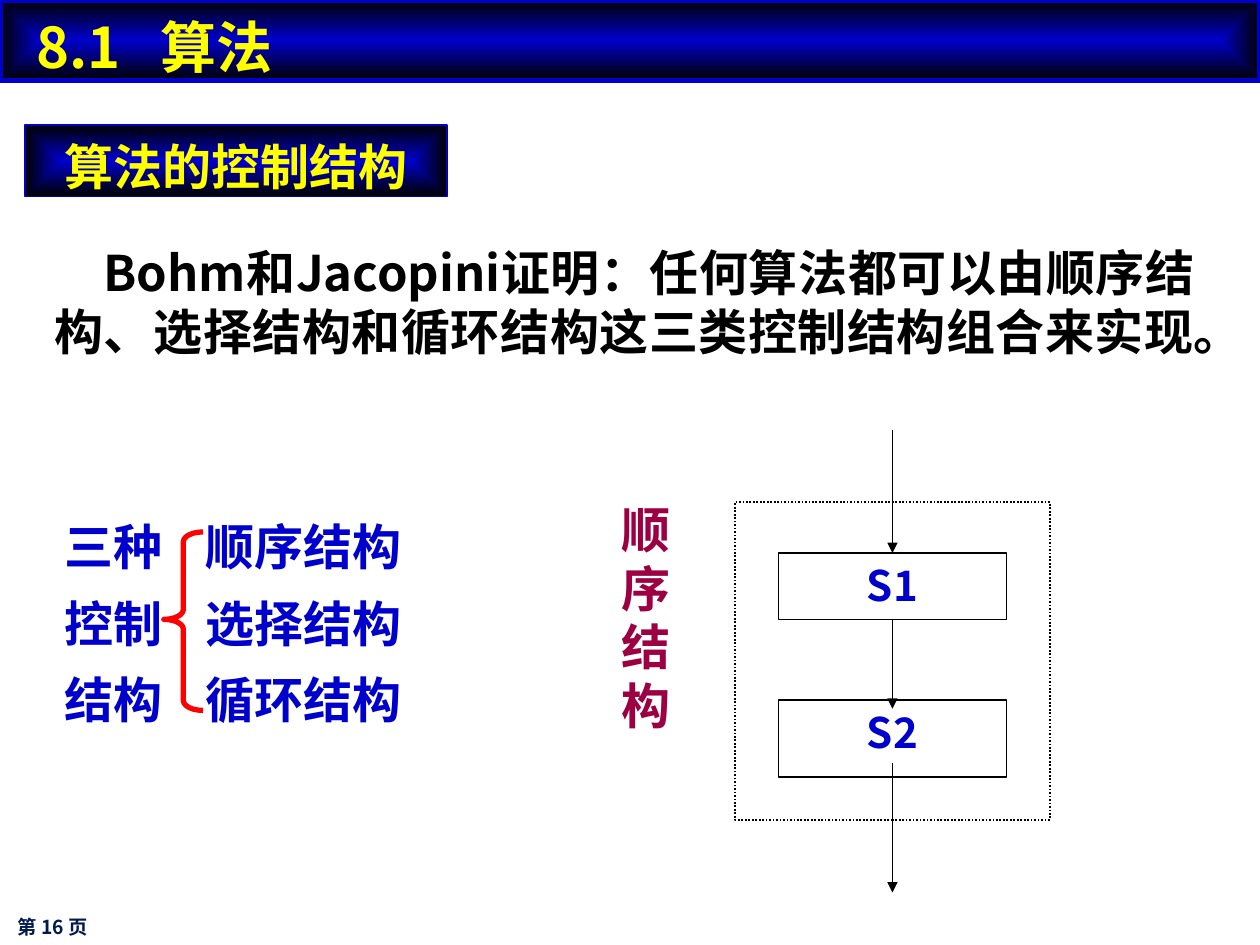
import pptx
import pptx.dml.color
import pptx.enum.dml
import pptx.enum.shapes
import pptx.enum.text
import pptx.oxml
import pptx.oxml.ns
import pptx.util
from lxml import etree

Pt = pptx.util.Pt
SHAPES = pptx.enum.shapes.MSO_SHAPE
ALIGN = pptx.enum.text.PP_ALIGN
SANS = "Noto Sans CJK SC"
TITLE_FONT = "Noto Sans CJK JP"
BLUE, YELLOW, BLACK, PLUM, NAVY, RED = "0000CC", "FFFF00", "000000", "9C0042", "001A4F", "FF0000"

TITLE = "8.1\t算法"
SECTION = "算法的控制结构"
STATEMENT = "Bohm和Jacopini证明：任何算法都可以由顺序结构、选择结构和循环结构这三类控制结构组合来实现。"
STRUCTURES = [("三种", "顺序结构"), ("控制", "选择结构"), ("结构", "循环结构")]
DIAGRAM_LABEL = "顺序结构"
STEPS = [("S1", 316, 38), ("S2", 400, 44)]  # label, top, height
PAGE = "第 16 页"

STEP_LEFT, STEP_WIDTH = 445, 130
FLOW_X = STEP_LEFT + STEP_WIDTH / 2
LINE_HEIGHT = 1.196  # line pitch, in ems
DROP = 0.12          # lowers the first baseline, in ems

prs = pptx.Presentation()
prs.slide_width, prs.slide_height = Pt(720), Pt(540)
slide = prs.slides.add_slide(prs.slide_layouts[6])


def rgb(value):
    return pptx.dml.color.RGBColor.from_string(value)


def write(shape, lines, size, color, font=SANS, align=ALIGN.LEFT, gap=0,
          inset=(7.2, 3.6), left=None, indent=0, tab=None,
          anchor=pptx.enum.text.MSO_ANCHOR.TOP):
    frame = shape.text_frame
    frame.word_wrap = True
    frame.vertical_anchor = anchor
    across, down = inset
    shift = DROP * size
    frame.margin_left = Pt(across if left is None else left)
    frame.margin_right = Pt(across)
    frame.margin_top = Pt(down + shift)
    frame.margin_bottom = Pt(max(0, down - shift))
    for number, line in enumerate(lines):
        paragraph = frame.add_paragraph() if number else frame.paragraphs[0]
        paragraph.alignment = align
        paragraph.line_spacing = Pt(round(LINE_HEIGHT * size, 1))
        if number:
            paragraph.space_before = Pt(gap)
        properties = paragraph._p.get_or_add_pPr()
        if indent:
            properties.set("indent", str(Pt(indent)))
        if tab:
            tabs = etree.SubElement(properties, pptx.oxml.ns.qn("a:tabLst"))
            etree.SubElement(tabs, pptx.oxml.ns.qn("a:tab"), pos=str(Pt(tab)), algn="l")
        run = paragraph.add_run()
        run.text = line
        run.font.size, run.font.bold, run.font.name = Pt(size), True, font
        run.font.color.rgb = rgb(color)
        east_asian = etree.SubElement(run._r.get_or_add_rPr(), pptx.oxml.ns.qn("a:ea"))
        east_asian.set("typeface", font)


def text_box(box, *args, **style):
    write(slide.shapes.add_textbox(*map(Pt, box)), *args, **style)


def outline(kind, box, color, width):
    shape = slide.shapes.add_shape(kind, *map(Pt, box))
    shape.shadow.inherit = False
    shape.fill.background()
    shape.line.color.rgb = rgb(color)
    shape.line.width = Pt(width)
    return shape


def banner(box, border):
    """Rectangle that glows blue at its centre and fades to black edges."""
    shape = outline(SHAPES.RECTANGLE, box, BLUE, border)
    shape.fill.gradient()
    for stop, color in zip(shape.fill.gradient_stops, (BLUE, BLACK)):
        stop.color.rgb = rgb(color)
    gradient = shape._element.spPr.find(pptx.oxml.ns.qn("a:gradFill"))
    linear = gradient.find(pptx.oxml.ns.qn("a:lin"))
    glow = etree.Element(pptx.oxml.ns.qn("a:path"), path="rect")
    etree.SubElement(glow, pptx.oxml.ns.qn("a:fillToRect"),
                     l="50000", t="50000", r="50000", b="50000")
    gradient.replace(linear, glow)
    return shape


def flow_arrow(top, bottom):
    arrow = slide.shapes.add_connector(
        pptx.enum.shapes.MSO_CONNECTOR.STRAIGHT, Pt(FLOW_X), Pt(top), Pt(FLOW_X), Pt(bottom))
    arrow.line.color.rgb = rgb(BLACK)
    arrow.line.width = Pt(0.75)
    etree.SubElement(arrow.line._get_or_add_ln(), pptx.oxml.ns.qn("a:tailEnd"), type="triangle")
    etree.SubElement(arrow._element.spPr, pptx.oxml.ns.qn("a:effectLst"))
    return arrow


text_box((3, 515, 192, 27), [PAGE], 11, NAVY, anchor=pptx.enum.text.MSO_ANCHOR.MIDDLE)
text_box((24, 132, 666, 108), [STATEMENT], 28, BLACK, align=ALIGN.JUSTIFY, indent=28)
write(banner((14.4, 71.3, 241, 41), 1), [SECTION], 28, YELLOW, align=ALIGN.CENTER)

text_box((30, 288, 341, 129), ["\t".join(pair) for pair in STRUCTURES], 28, BLUE,
         gap=10.5, tab=80.5)
brace = outline(SHAPES.LEFT_BRACE, (93.6, 304, 22.4, 102), RED, 3)
brace.adjustments[0], brace.adjustments[1] = 0.25, 0.49

steps = []
for label, top, height in STEPS:
    step = outline(SHAPES.RECTANGLE, (STEP_LEFT, top, STEP_WIDTH, height), BLACK, 0.75)
    write(step, [label], 24, BLUE, align=ALIGN.CENTER, inset=(1.4, 0.7))
    steps.append(step)
flow_arrow(246, 316).end_connect(steps[0], 0)
flow_arrow(354, 405).begin_connect(steps[0], 2)
flow_arrow(436, 510)
frame = outline(SHAPES.RECTANGLE, (420, 287, 180, 181.5), BLACK, 1)
frame.line.dash_style = pptx.enum.dml.MSO_LINE.ROUND_DOT
text_box((348, 278.6, 50.4, 142), [DIAGRAM_LABEL], 28, PLUM)

write(banner((0, 0, 720, 46), 3), [TITLE], 32, YELLOW, font=TITLE_FONT, left=21, tab=71)

prs.save("out.pptx")
